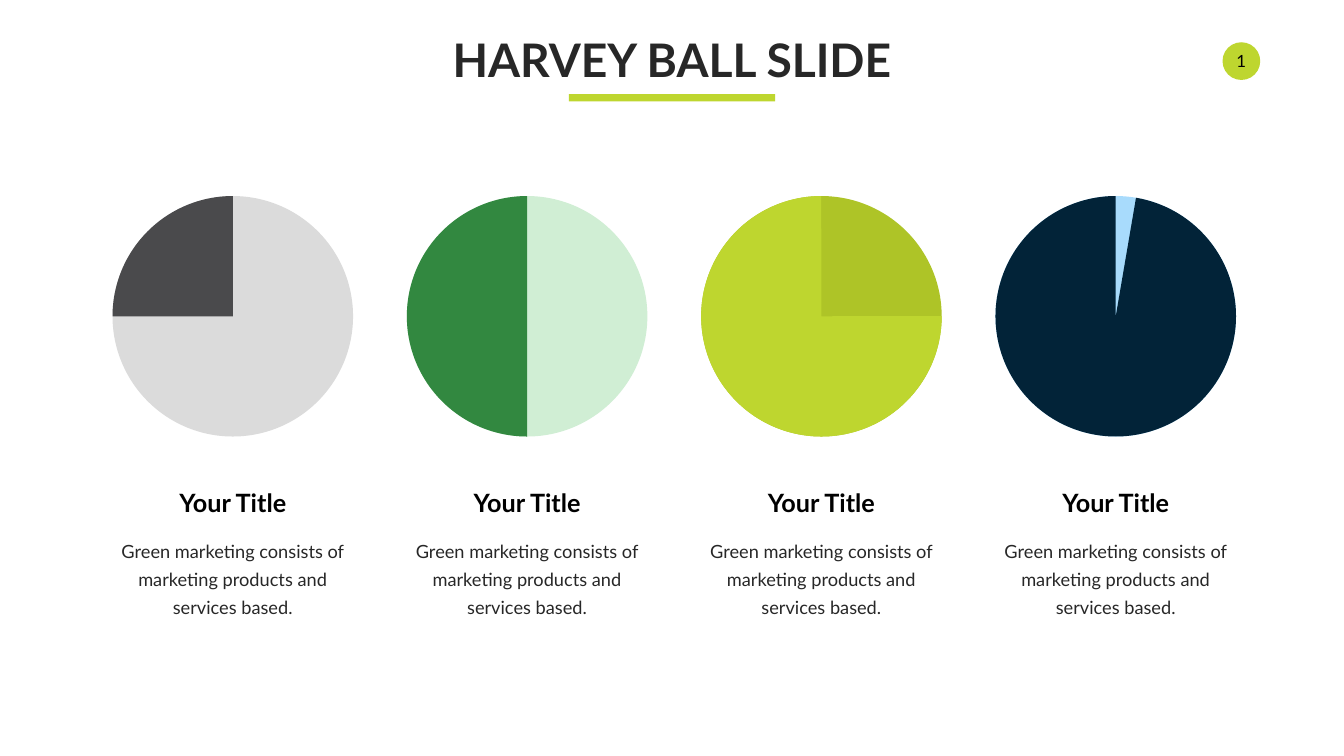
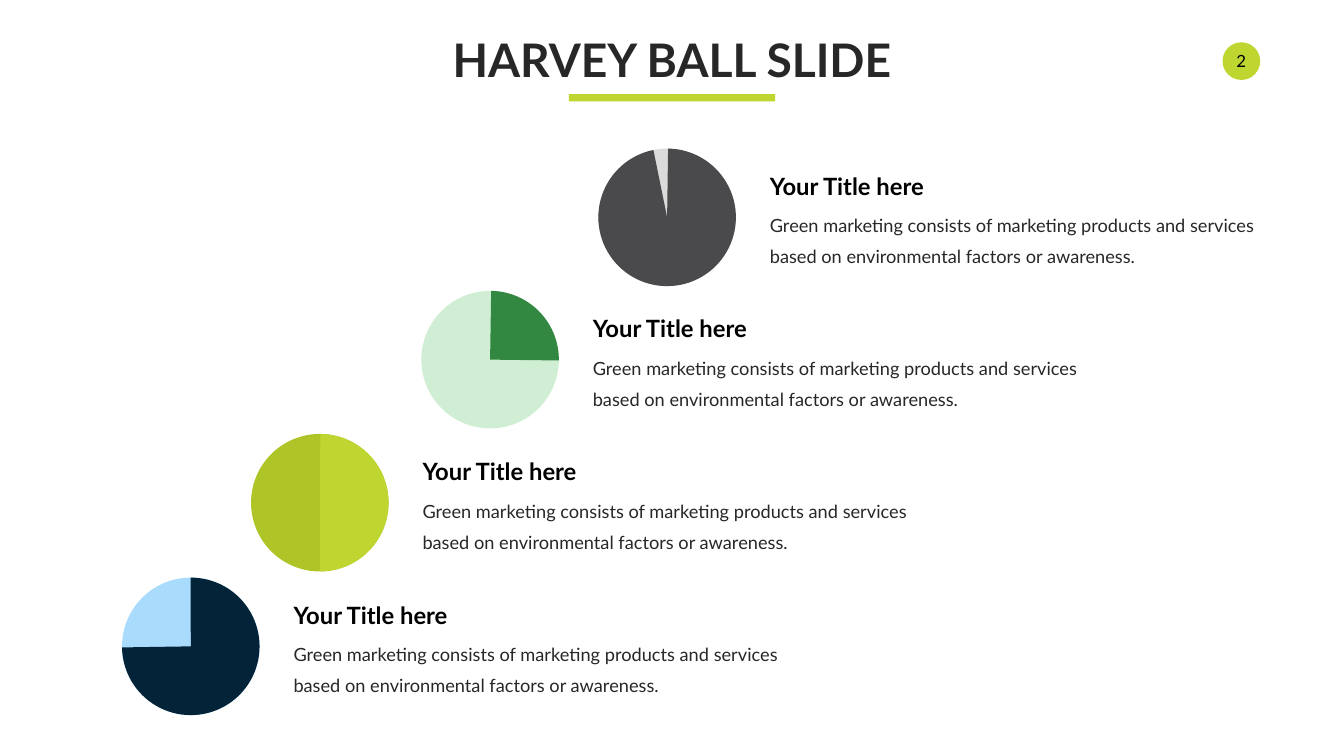
from pptx import Presentation
from pptx.dml.color import RGBColor
from pptx.enum.shapes import MSO_SHAPE as SHAPE
from pptx.enum.text import MSO_ANCHOR as ANCHOR, MSO_AUTO_SIZE as FIT, PP_ALIGN as ALIGN
from pptx.util import Cm, Pt

FONT = "Lato"
COLORS = {
    "ink": "272727", "black": "000000",
    "lime": "BED62F", "dark_lime": "AEC427",
    "green": "328840", "mint": "D0EED4",
    "charcoal": "4A4A4C", "silver": "DBDBDB",
    "navy": "022338", "sky": "A8DBFC",
}
WIDTH, HEIGHT = 67.72, 38.1
BLURB = "Green marketing consists of marketing products and services based"

COLUMN_BALLS = [
    ("silver", "charcoal", 180, 270),
    ("mint", "green", 90, 270),
    ("dark_lime", "lime", 359.9, 269.9),
    ("sky", "navy", 279.7, 269.9),
]
STAIR_BALLS = [
    (30.15, 7.49, "silver", "charcoal", 270.8, 258.5),
    (21.23, 14.66, "mint", "green", 270.9, 0.7),
    (12.65, 21.87, "dark_lime", "lime", 270.45, 90),
    (6.15, 29.11, "sky", "navy", 269.8, 179.1),
]


def rgb(name):
    """Return the named palette colour."""
    return RGBColor.from_string(COLORS[name])


def add_run(p, text, size, color, bold=False):
    """Append a styled run to a paragraph."""
    r = p.add_run()
    r.text = text
    r.font.name = FONT
    r.font.size = Pt(size)
    r.font.bold = bold
    r.font.color.rgb = rgb(color)


def add_solid(s, kind, x, y, w, h, color):
    """Draw a filled preset shape without outline or shadow."""
    sp = s.shapes.add_shape(kind, Cm(x), Cm(y), Cm(w), Cm(h))
    sp.shadow.inherit = False
    sp.fill.solid()
    sp.fill.fore_color.rgb = rgb(color)
    sp.line.fill.background()
    return sp


def add_text(s, x, y, w, h, text, size, color="black", bold=False,
             align=ALIGN.LEFT, wrap=False, spacing=None):
    """Add a one-paragraph text box."""
    tf = s.shapes.add_textbox(Cm(x), Cm(y), Cm(w), Cm(h)).text_frame
    tf.word_wrap = wrap
    tf.auto_size = FIT.SHAPE_TO_FIT_TEXT
    p = tf.paragraphs[0]
    p.alignment = align
    if spacing:
        p.line_spacing = Pt(spacing)
    add_run(p, text, size, color, bold)


def add_ball(s, x, y, size, base, wedge, start, end):
    """Draw a Harvey ball: a disc with a wedge running clockwise between two angles."""
    add_solid(s, SHAPE.OVAL, x, y, size, size, base)
    sp = add_solid(s, SHAPE.PIE, x, y, size, size, wedge)
    for i, degrees in enumerate((start, end)):
        sp.adjustments[i] = degrees * 0.6


def add_page(prs, number):
    """Add a slide with the shared number badge, title and underline."""
    s = prs.slides.add_slide(prs.slide_layouts[6])
    sp = add_solid(s, SHAPE.OVAL, 61.6, 2.13, 1.9, 1.9, "lime")
    tf = sp.text_frame
    tf.margin_left = tf.margin_right = tf.margin_top = tf.margin_bottom = Cm(0.13)
    tf.vertical_anchor = ANCHOR.MIDDLE
    p = tf.paragraphs[0]
    p.alignment = ALIGN.CENTER
    add_run(p, str(number), 24, "black")
    title_w, bar_w = 22.63, 10.4
    add_text(s, (WIDTH - title_w) / 2, 1.47, title_w, 3.07, "HARVEY BALL SLIDE",
             66, "ink", True, ALIGN.CENTER)
    add_solid(s, SHAPE.RECTANGLE, (WIDTH - bar_w) / 2, 4.75, bar_w, 0.36, "lime")
    return s


def add_columns(s):
    """Place four balls in a row, each above a centred title and blurb."""
    size, step, title_w, body_w = 12.12, 14.83, 6.1, 13.46
    for i, ball in enumerate(COLUMN_BALLS):
        x = 5.67 + i * step
        mid = x + size / 2
        add_ball(s, x, 9.88, size, *ball)
        add_text(s, mid - title_w / 2, 24.43, title_w, 1.8, "Your Title", 36,
                 bold=True, align=ALIGN.CENTER)
        add_text(s, mid - body_w / 2, 26.8, body_w, 4.39, BLURB + ".", 26, "ink",
                 align=ALIGN.CENTER, wrap=True, spacing=40)


def add_stairs(s):
    """Place four balls down a staircase, each with its text on the right."""
    for x, y, *ball in STAIR_BALLS:
        text_x = x + 8.39
        add_ball(s, x, y, 6.93, *ball)
        add_text(s, text_x, y + 1.03, 8.48, 1.7, "Your Title here", 34, bold=True)
        add_text(s, text_x, y + 2.74, 24.97, 3.25,
                 BLURB + " on environmental factors or awareness.", 26, "ink",
                 wrap=True, spacing=44.4)


def main():
    """Build and save the presentation."""
    prs = Presentation()
    prs.slide_width, prs.slide_height = Cm(WIDTH), Cm(HEIGHT)
    for number, fill_page in enumerate((add_columns, add_stairs), 1):
        fill_page(add_page(prs, number))
    prs.save("out.pptx")


if __name__ == "__main__":
    main()
